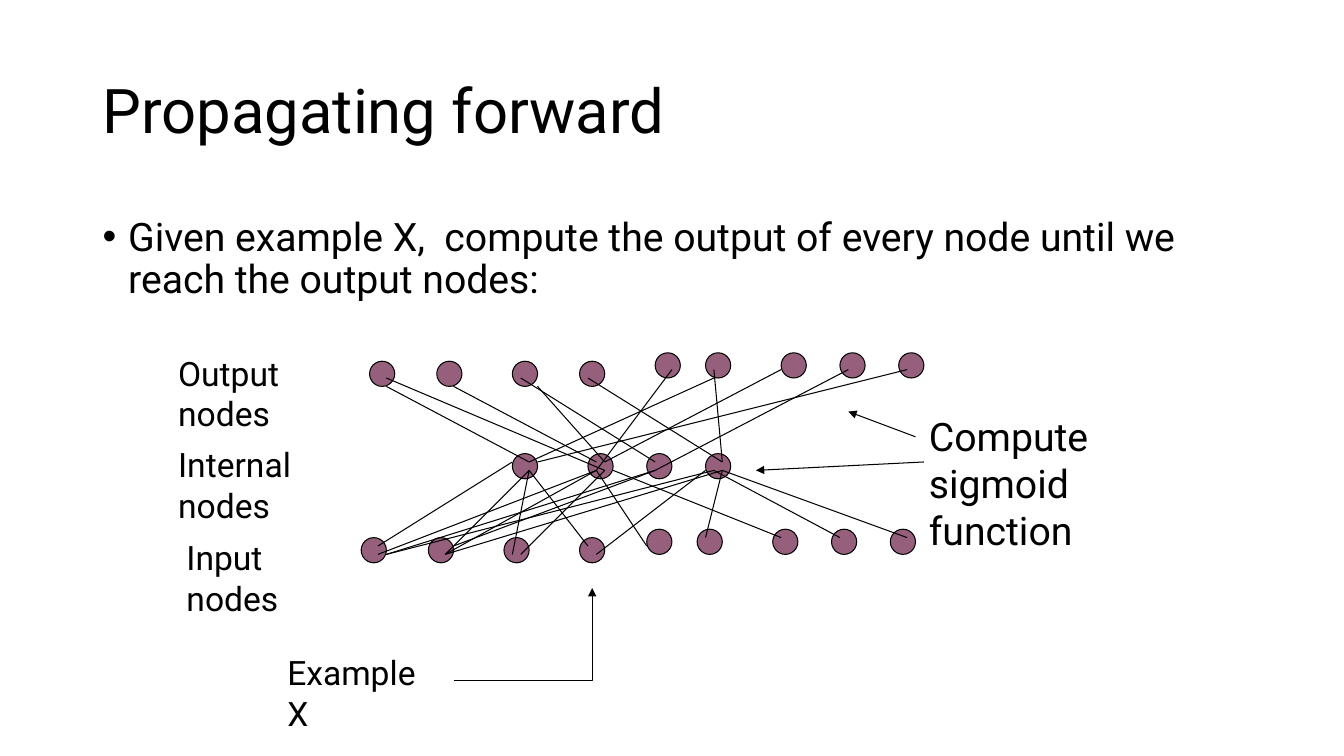
from dataclasses import dataclass
from typing import NamedTuple

from lxml import etree
from pptx import Presentation
from pptx.dml.color import RGBColor
from pptx.enum.shapes import MSO_CONNECTOR, MSO_SHAPE
from pptx.enum.text import MSO_ANCHOR
from pptx.oxml.ns import qn
from pptx.util import Cm, Length, Pt

STRAIGHT = MSO_CONNECTOR.STRAIGHT
ELBOW = MSO_CONNECTOR.ELBOW
OVAL = MSO_SHAPE.OVAL
TOP = MSO_ANCHOR.TOP
MIDDLE = MSO_ANCHOR.MIDDLE


@dataclass(frozen=True)
class Theme:
    font: str = "Roboto"
    ink: RGBColor = RGBColor(0x00, 0x00, 0x00)
    node: RGBColor = RGBColor(0x96, 0x60, 0x7D)
    title_size: Length = Pt(44)
    body_size: Length = Pt(28)
    label_size: Length = Pt(24)
    line_width: Length = Pt(0.75)


class Caption(NamedTuple):
    """Text with its box in centimetres."""
    text: str
    left: float
    top: float
    width: float
    height: float
    size: Length
    anchor: MSO_ANCHOR = TOP
    line_spacing: float = 1.0
    bulleted: bool = False


class NodeRow(NamedTuple):
    """Nodes sharing one top edge, in grid steps."""
    top: float
    lefts: tuple[float, ...]


class Link(NamedTuple):
    """Line between two points, in grid steps."""
    x1: float
    y1: float
    x2: float
    y2: float


THEME = Theme()
NODE_SIZE = 3
BULLET_INDENT = Cm(0.64)
LABEL_HEIGHT = 1.27

CAPTIONS = (
    Caption("Propagating forward", 2.34, 1.02, 29.21, 3.68,
            THEME.title_size, MIDDLE, 0.9),
    Caption("Given example X,  compute the output of every node until we "
            "reach the output nodes:", 2.34, 5.36, 28.78, 12.4,
            THEME.body_size, TOP, 0.9, True),
    Caption("Input nodes", 4.45, 13.41, 4.67, LABEL_HEIGHT, THEME.label_size),
    Caption("Internal nodes", 4.24, 11.07, 5.54, LABEL_HEIGHT, THEME.label_size),
    Caption("Output nodes", 4.24, 8.76, 5.31, LABEL_HEIGHT, THEME.label_size),
    Caption("Example X", 6.99, 16.31, 4.09, LABEL_HEIGHT, THEME.label_size),
    Caption("Compute sigmoid function", 23.16, 10.26, 7.42, 2.64,
            THEME.body_size),
)

NODE_ROWS = (
    NodeRow(64, (43, 51, 60, 69)),
    NodeRow(63, (77, 83, 92, 99, 106)),
    NodeRow(54, (61, 70, 77, 84)),
    NodeRow(43, (44, 52, 61, 69)),
    NodeRow(42, (78, 84, 93, 100, 107)),
)

INPUT_LINKS = (
    Link(45, 65, 61, 55), Link(45, 66, 71, 56), Link(46, 66, 78, 56),
    Link(46, 66, 85, 56), Link(53, 66, 63, 56), Link(53, 66, 71, 56),
    Link(54, 65, 78, 56), Link(53, 66, 86, 56), Link(61, 66, 63, 56),
    Link(62, 66, 72, 56), Link(70, 65, 63, 56), Link(71, 66, 84, 56),
    Link(77, 65, 71, 56), Link(93, 64, 73, 56), Link(100, 64, 85, 56),
    Link(108, 64, 86, 56), Link(84, 64, 86, 56),
)
OUTPUT_LINKS = (
    Link(63, 55, 46, 46), Link(64, 55, 108, 44), Link(63, 55, 85, 45),
    Link(71, 55, 54, 46), Link(71, 56, 80, 44), Link(72, 55, 64, 46),
    Link(72, 55, 93, 44), Link(78, 56, 101, 44), Link(86, 55, 85, 44),
    Link(86, 55, 70, 45), Link(78, 55, 62, 45), Link(46, 45, 72, 56),
)
SIGMOID_ARROWS = (Link(110, 55, 90, 56), Link(109, 52, 101, 49))
EXAMPLE_ARROW = Link(54, 81, 70.5, 70)


def grid(steps: float) -> Length:
    """Convert grid steps, twelve to the inch, to a length."""
    return Cm(steps * 2.54 / 12)


def add_caption(slide, caption: Caption) -> None:
    box = slide.shapes.add_textbox(Cm(caption.left), Cm(caption.top),
                                   Cm(caption.width), Cm(caption.height))
    frame = box.text_frame
    frame.word_wrap = True
    frame.vertical_anchor = caption.anchor
    paragraph = frame.paragraphs[0]
    if caption.bulleted:
        properties = paragraph._p.get_or_add_pPr()
        properties.set("marL", str(BULLET_INDENT))
        properties.set("indent", str(-BULLET_INDENT))
        etree.SubElement(properties, qn("a:buFont")).set("typeface", "Arial")
        etree.SubElement(properties, qn("a:buChar")).set("char", "•")
    paragraph.line_spacing = caption.line_spacing
    run = paragraph.add_run()
    run.text = caption.text
    run.font.name = THEME.font
    run.font.size = caption.size
    run.font.color.rgb = THEME.ink


def add_node_row(slide, row: NodeRow) -> None:
    for left in row.lefts:
        node = slide.shapes.add_shape(OVAL, grid(left), grid(row.top),
                                      grid(NODE_SIZE), grid(NODE_SIZE))
        node.shadow.inherit = False
        node.fill.solid()
        node.fill.fore_color.rgb = THEME.node
        node.line.color.rgb = THEME.ink
        node.line.width = THEME.line_width


def add_link(slide, link: Link, arrow: bool = False, bent: bool = False) -> None:
    """Draw a link; a bent one turns a single corner."""
    connector = slide.shapes.add_connector(
        ELBOW if bent else STRAIGHT, *(grid(steps) for steps in link))
    connector.line.color.rgb = THEME.ink
    connector.line.width = THEME.line_width
    properties = connector._element.spPr
    if bent:
        properties.find(qn("a:prstGeom")).set("prst", "bentConnector2")
    if arrow:
        outline = properties.find(qn("a:ln"))
        etree.SubElement(outline, qn("a:tailEnd")).set("type", "triangle")
    etree.SubElement(properties, qn("a:effectLst"))


def main() -> None:
    presentation = Presentation()
    presentation.slide_width = Cm(33.87)
    presentation.slide_height = Cm(19.05)
    slide = presentation.slides.add_slide(presentation.slide_layouts[6])
    for row in NODE_ROWS:
        add_node_row(slide, row)
    for link in INPUT_LINKS + OUTPUT_LINKS:
        add_link(slide, link)
    add_link(slide, EXAMPLE_ARROW, arrow=True, bent=True)
    for link in SIGMOID_ARROWS:
        add_link(slide, link, arrow=True)
    for caption in CAPTIONS:
        add_caption(slide, caption)
    presentation.save("out.pptx")


if __name__ == "__main__":
    main()
